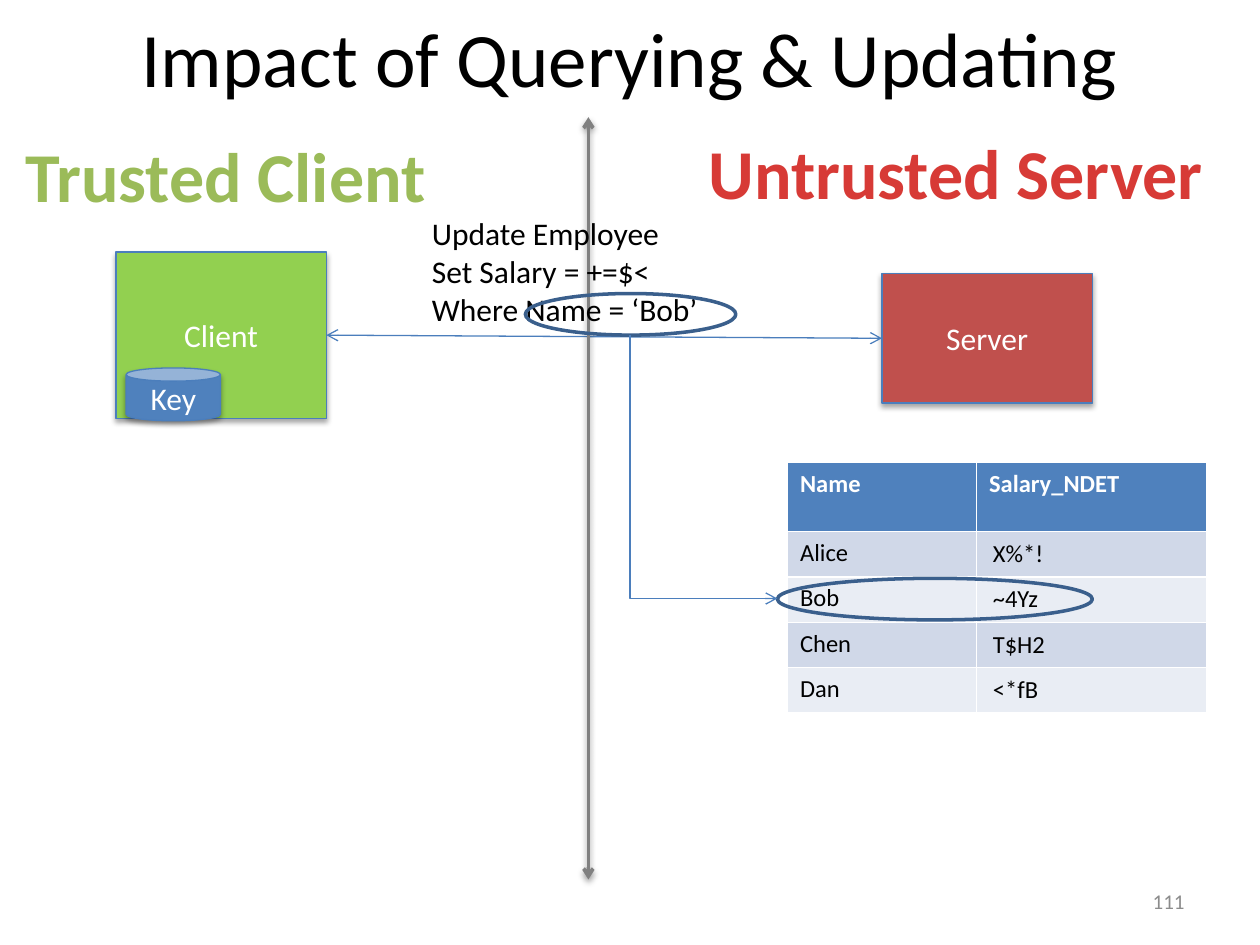
from dataclasses import dataclass
from typing import Optional

from lxml import etree
from pptx import Presentation
from pptx.dml.color import RGBColor
from pptx.enum.shapes import MSO_CONNECTOR, MSO_SHAPE
from pptx.enum.text import MSO_ANCHOR, PP_ALIGN
from pptx.oxml.ns import qn
from pptx.util import Inches, Pt


@dataclass(frozen=True)
class Theme:
    font: str = "Calibri"
    black: str = "000000"
    white: str = "FFFFFF"
    blue: str = "4F81BD"
    edge: str = "4B7EBC"
    ring: str = "3A5F8C"
    divider: str = "808080"
    number: str = "8C8C8C"
    client: str = "92D050"
    server: str = "C0504D"
    trusted: str = "9BBB59"
    untrusted: str = "D73A36"
    bands: tuple = ("D0D8E8", "E9EDF4")
    title_size: int = 44
    heading_size: int = 40
    body_size: int = 18
    table_size: int = 14
    number_size: int = 12


@dataclass(frozen=True)
class Box:
    left: float
    top: float
    width: float
    height: float

    def emu(self) -> tuple:
        return tuple(Inches(v) for v in (self.left, self.top, self.width, self.height))


@dataclass(frozen=True)
class Node:
    label: str
    box: Box
    fill: str
    kind: MSO_SHAPE = MSO_SHAPE.RECTANGLE


@dataclass(frozen=True)
class Label:
    text: str
    box: Box
    size: int
    color: str
    align: PP_ALIGN = PP_ALIGN.LEFT
    bold: bool = False
    wrap: bool = True
    anchor: MSO_ANCHOR = MSO_ANCHOR.TOP


THEME = Theme()


def write(frame, text: str, size: int, color: str,
          align: Optional[PP_ALIGN] = None, bold: bool = False) -> None:
    frame.text = text
    for paragraph in frame.paragraphs:
        paragraph.alignment = align
        font = paragraph.font
        font.name, font.size, font.bold = THEME.font, Pt(size), bold
        font.color.rgb = RGBColor.from_string(color)


def set_effects(shape, opacity: int = 0, distance: float = 0) -> None:
    """Give the shape a soft downward shadow, or none at zero opacity."""
    effects = etree.SubElement(shape._element.spPr, qn("a:effectLst"))
    if opacity:
        shadow = etree.SubElement(
            effects, qn("a:outerShdw"), blurRad=str(Pt(3.1)), dist=str(Pt(distance)),
            dir="5400000", rotWithShape="0")
        color = etree.SubElement(shadow, qn("a:srgbClr"), val=THEME.black)
        etree.SubElement(color, qn("a:alpha"), val=str(opacity * 1000))


def set_line(shape, color: str, width: float) -> None:
    shape.line.color.rgb = RGBColor.from_string(color)
    shape.line.width = Pt(width)


def add_node(slide, node: Node):
    shape = slide.shapes.add_shape(node.kind, *node.box.emu())
    shape.fill.solid()
    shape.fill.fore_color.rgb = RGBColor.from_string(node.fill)
    set_line(shape, THEME.edge, 0.75)
    set_effects(shape, 35, 1.8)
    shape.text_frame.vertical_anchor = MSO_ANCHOR.MIDDLE
    write(shape.text_frame, node.label, THEME.body_size, THEME.white, PP_ALIGN.CENTER)
    return shape


def add_label(slide, label: Label) -> None:
    frame = slide.shapes.add_textbox(*label.box.emu()).text_frame
    frame.word_wrap = label.wrap
    frame.vertical_anchor = label.anchor
    write(frame, label.text, label.size, label.color, label.align, label.bold)


def add_ring(slide, box: Box) -> None:
    ring = slide.shapes.add_shape(MSO_SHAPE.OVAL, *box.emu())
    ring.shadow.inherit = False
    ring.fill.background()
    set_line(ring, THEME.ring, 2)


def add_arrow(slide, start: tuple, end: tuple, color: str, width: float,
              ends: tuple = ("headEnd", "tailEnd"), kind=MSO_CONNECTOR.STRAIGHT):
    arrow = slide.shapes.add_connector(kind, *(Inches(v) for v in start + end))
    set_line(arrow, color, width)
    for tag in ends:
        etree.SubElement(arrow.line._get_or_add_ln(), qn(f"a:{tag}"), type="arrow")
    return arrow


def add_down_right_arrow(slide, start: tuple, end: tuple) -> None:
    """One-corner arrow: down from the start, then right to the end."""
    arrow = add_arrow(slide, start, end, THEME.edge, 0.75, ("tailEnd",), MSO_CONNECTOR.ELBOW)
    set_effects(arrow)
    across, down = end[0] - start[0], end[1] - start[1]
    # The preset runs across then down, so it is turned about its centre
    arrow.left = Inches((start[0] + end[0] - down) / 2)
    arrow.top = Inches((start[1] + end[1] - across) / 2)
    arrow.width, arrow.height = Inches(down), Inches(across)
    properties = arrow._element.spPr
    properties.find(qn("a:prstGeom")).set("prst", "bentConnector2")
    transform = properties.find(qn("a:xfrm"))
    transform.set("rot", "16200000")
    transform.set("flipH", "1")


def add_salary_table(slide, box: Box, rows: list, widths: tuple, heights: tuple) -> None:
    table = slide.shapes.add_table(len(rows), len(widths), *box.emu()).table
    for column, width in zip(table.columns, widths):
        column.width = Inches(width)
    for r, (values, height) in enumerate(zip(rows, heights)):
        table.rows[r].height = Inches(height)
        header = r == 0
        for c, value in enumerate(values):
            cell = table.cell(r, c)
            cell.fill.solid()
            cell.fill.fore_color.rgb = RGBColor.from_string(
                THEME.blue if header else THEME.bands[(r - 1) % 2])
            if c and not header:
                cell.margin_left = cell.margin_right = Inches(0.13)
                cell.margin_top = cell.margin_bottom = Inches(0.06)
            write(cell.text_frame, value, THEME.table_size,
                  THEME.white if header else THEME.black, bold=header)


def main() -> None:
    deck = Presentation()
    deck.slide_width, deck.slide_height = Inches(10), Inches(7.5)
    slide = deck.slides.add_slide(deck.slide_layouts[5])

    # Title
    title = slide.shapes.title
    title.left, title.top, title.width, title.height = Box(0.5, 0, 9, 0.9).emu()
    title.text_frame.vertical_anchor = MSO_ANCHOR.MIDDLE
    write(title.text_frame, "Impact of Querying & Updating", THEME.title_size,
          THEME.black, PP_ALIGN.CENTER)

    # Client with its key, and server
    client, key, server = [add_node(slide, node) for node in (
        Node("Client", Box(0.92, 2, 1.67, 1.32), THEME.client),
        Node("Key", Box(1, 2.92, 0.75, 0.42), THEME.blue, MSO_SHAPE.CAN),
        Node("Server", Box(7, 2.17, 1.67, 1.03), THEME.server),
    )]

    # Link between the two, and the trust boundary
    link = add_arrow(slide, (2.58, 2.66), (7, 2.68), THEME.edge, 0.75)
    link.begin_connect(client, 3)
    link.end_connect(server, 1)
    set_effects(link)
    boundary = add_arrow(slide, (4.67, 0.93), (4.67, 6.98), THEME.divider, 2)
    set_effects(boundary, 38, 1.6)

    # Stored data
    add_salary_table(
        slide, Box(6.25, 3.67, 3.33, 1.99),
        [("Name", "Salary_NDET"), ("Alice", "X%*!"), ("Bob", "~4Yz"),
         ("Chen", "T$H2"), ("Dan", "<*fB")],
        widths=(1.5, 1.83), heights=(0.55,) + (0.36,) * 4)

    # Headings, query and slide number
    for label in (
        Label("Trusted Client", Box(-0.25, 1, 4.08, 0.77), THEME.heading_size,
              THEME.trusted, PP_ALIGN.CENTER, bold=True),
        Label("Untrusted Server", Box(5.5, 0.98, 4.17, 0.77), THEME.heading_size,
              THEME.untrusted, PP_ALIGN.CENTER, bold=True, wrap=False),
        Label("Update Employee\nSet Salary = +=$<\nWhere Name = ‘Bob’",
              Box(3.33, 1.65, 2.5, 1.01), THEME.body_size, THEME.black),
        Label("111", Box(7.17, 6.95, 2.33, 0.4), THEME.number_size, THEME.number,
              PP_ALIGN.RIGHT, anchor=MSO_ANCHOR.MIDDLE),
    ):
        add_label(slide, label)

    # Condition and the row it matches
    for box in (Box(4.17, 2.33, 1.67, 0.33), Box(6.17, 4.59, 2.5, 0.33)):
        add_ring(slide, box)
    add_down_right_arrow(slide, (5, 2.66), (6.17, 4.75))

    deck.save("out.pptx")


if __name__ == "__main__":
    main()
